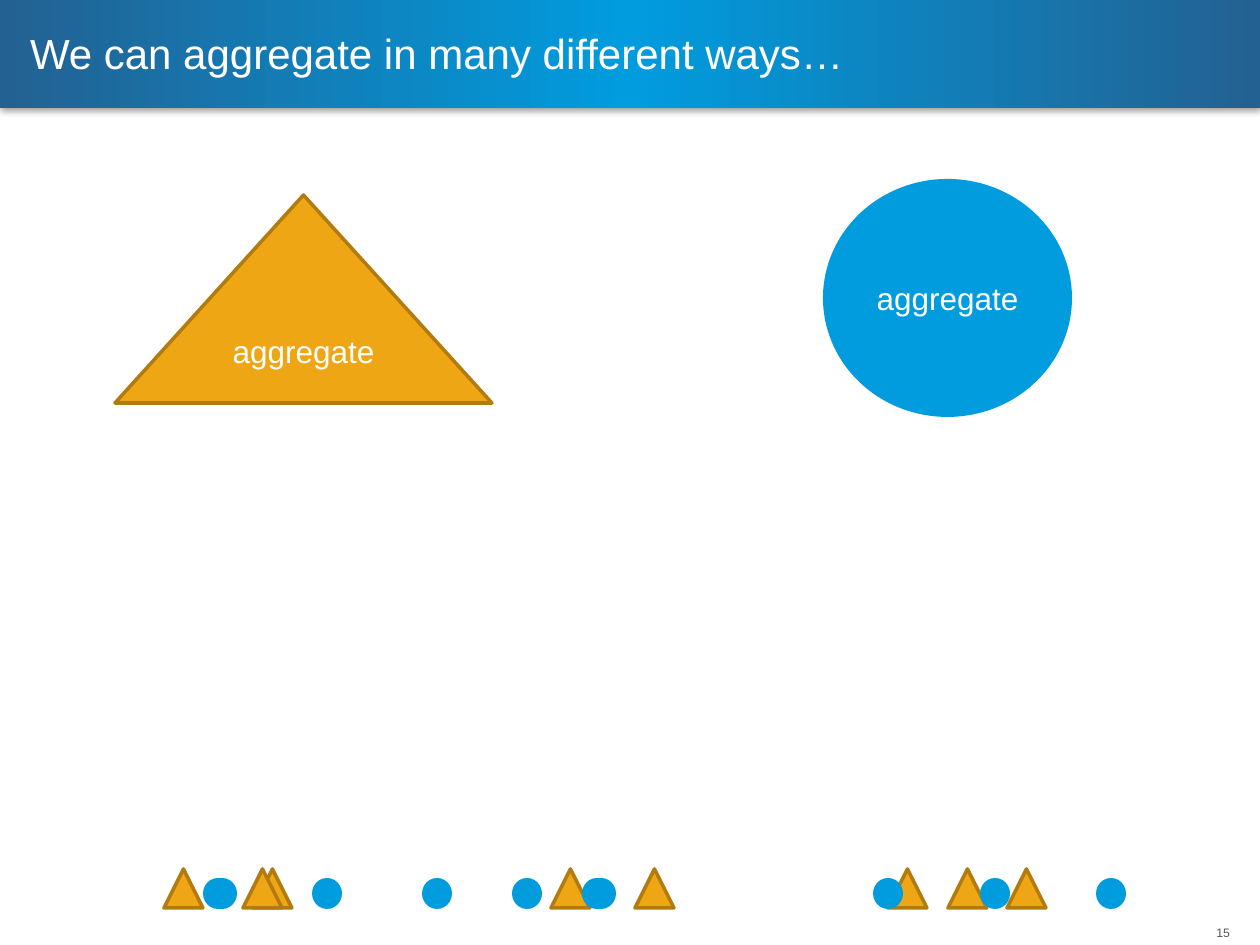
from lxml.etree import SubElement
from pptx import Presentation
from pptx.dml.color import RGBColor
from pptx.enum.shapes import MSO_SHAPE
from pptx.enum.text import MSO_ANCHOR, PP_ALIGN
from pptx.oxml import parse_xml
from pptx.oxml.ns import nsdecls, qn
from pptx.util import Pt

SCALE = 914400 / 126
COLORS = {
    "navy": "236192",
    "blue": "009CDE",
    "orange": "EFA615",
    "brown": "B17B10",
    "gray": "53565A",
    "white": "FFFFFF",
    "black": "000000",
}
FONT = "Arial"

TRIANGLE = {"kind": MSO_SHAPE.ISOSCELES_TRIANGLE, "fill": "orange", "line": "brown"}
CIRCLE = {"kind": MSO_SHAPE.OVAL, "fill": "blue"}

# Left offsets within the bottom row, from back to front
TRIANGLE_OFFSETS = [89, 387, 0, 471, 724, 843, 784, 79]
CIRCLE_OFFSETS = [148, 39, 43, 422, 418, 709, 816, 932, 348, 258]


def emu(*lengths):
    return [round(length * SCALE) for length in lengths]


def color(name):
    return RGBColor.from_string(COLORS[name])


def write_text(shape, text, size=18, fill="white", align=PP_ALIGN.CENTER,
               anchor=MSO_ANCHOR.MIDDLE, inset=None):
    frame = shape.text_frame
    frame.word_wrap = True
    frame.vertical_anchor = anchor
    if inset is not None:
        frame.margin_left = frame.margin_top = inset
        frame.margin_right = frame.margin_bottom = inset
    frame.text = text
    paragraph = frame.paragraphs[0]
    paragraph.alignment = align
    paragraph.font.name = FONT
    paragraph.font.size = Pt(size)
    paragraph.font.color.rgb = color(fill)


def add_figure(slide, box, kind, fill, line=None, text=None):
    shape = slide.shapes.add_shape(kind, *emu(*box))
    shape.shadow.inherit = False
    shape.fill.solid()
    shape.fill.fore_color.rgb = color(fill)
    if line:
        shape.line.color.rgb = color(line)
        shape.line.width = Pt(2)
    else:
        shape.line.fill.background()
    if text:
        write_text(shape, text)
    return shape


def add_banner(slide, box):
    """Place the gradient bar with its soft shadow behind everything else."""
    banner = add_figure(slide, box, MSO_SHAPE.RECTANGLE, "navy")
    banner.fill.gradient()
    banner.fill.gradient_angle = 0
    stops = banner._element.spPr.find(".//" + qn("a:gsLst"))
    for stop in list(stops):
        stops.remove(stop)
    for position, name in ((0, "navy"), (50, "blue"), (100, "navy")):
        stop = SubElement(stops, qn("a:gs"), pos=str(position * 1000))
        SubElement(stop, qn("a:srgbClr"), val=COLORS[name])
    effects = banner._element.spPr.find(qn("a:effectLst"))
    effects.append(parse_xml(
        f'<a:outerShdw {nsdecls("a")} blurRad="{Pt(4)}" dist="{Pt(1)}" '
        f'dir="5400000" rotWithShape="0"><a:srgbClr val="{COLORS["black"]}">'
        '<a:alpha val="40000"/></a:srgbClr></a:outerShdw>'))
    slide.shapes._spTree.insert(2, banner._element)


def add_header(slide, box, text):
    left, top, width, height = box
    add_banner(slide, box)
    title = slide.shapes.title
    title.left, title.top, title.width, title.height = emu(
        left + 30, top + 21, 1048, 63)
    write_text(title, text, size=24, align=PP_ALIGN.LEFT, inset=0)


def add_aggregates(slide, box):
    left, top, width, height = box
    add_figure(slide, (left, top + 16, 377, 208), text="aggregate", **TRIANGLE)
    add_figure(slide, (left + width - 249, top, 249, height),
               text="aggregate", **CIRCLE)


def add_item_row(slide, box):
    left, top, width, height = box
    for offset in TRIANGLE_OFFSETS:
        add_figure(slide, (left + offset, top, 39, height), **TRIANGLE)
    for offset in CIRCLE_OFFSETS:
        add_figure(slide, (left + offset, top + 9, 30, 31), **CIRCLE)


def add_page_number(slide, box, text):
    number = slide.shapes.add_textbox(*emu(*box))
    write_text(number, text, size=7, fill="gray", align=PP_ALIGN.RIGHT,
               anchor=MSO_ANCHOR.TOP, inset=0)


def main():
    presentation = Presentation()
    presentation.slide_width, presentation.slide_height = emu(1260, 945)
    slide = presentation.slides.add_slide(presentation.slide_layouts[5])
    add_header(slide, (0, 0, 1260, 108), "We can aggregate in many different ways…")
    add_page_number(slide, (1168, 925, 62, 15), "15")
    add_item_row(slide, (164, 869, 962, 39))
    add_aggregates(slide, (115, 179, 957, 238))
    presentation.save("out.pptx")


if __name__ == "__main__":
    main()
